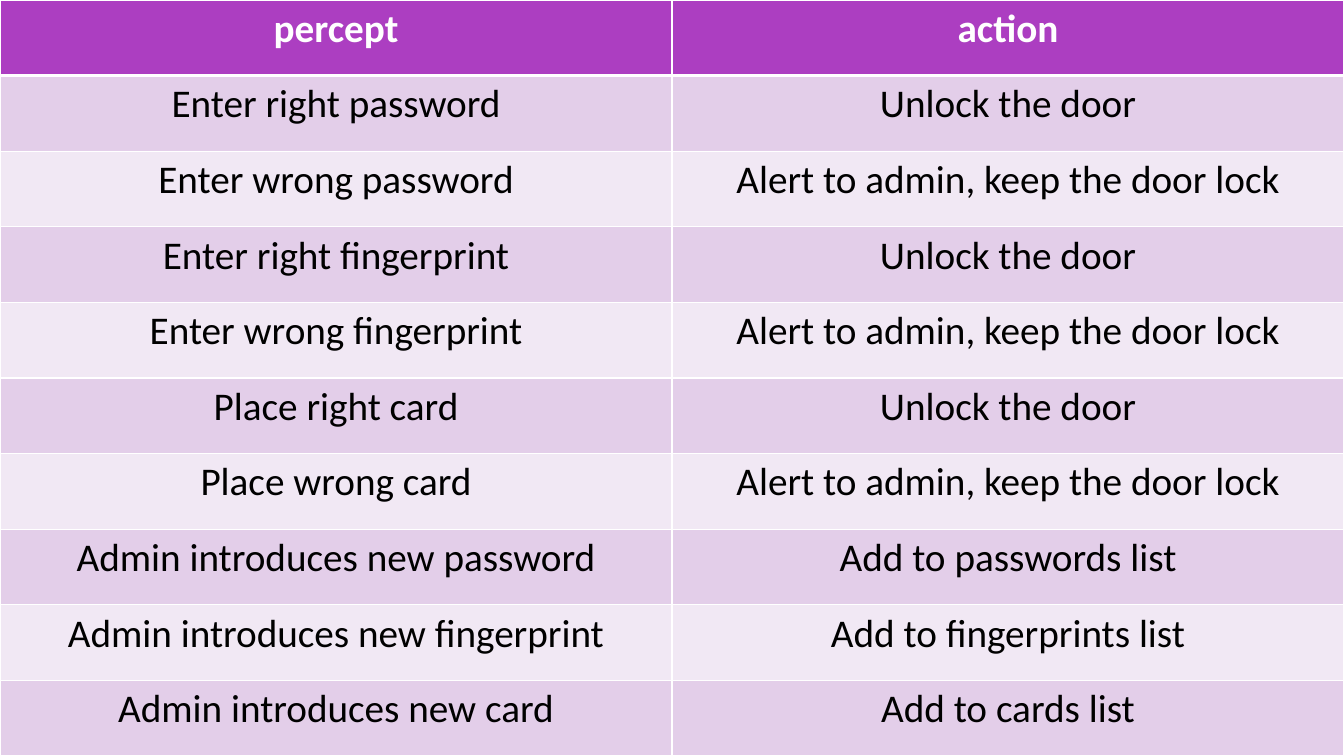
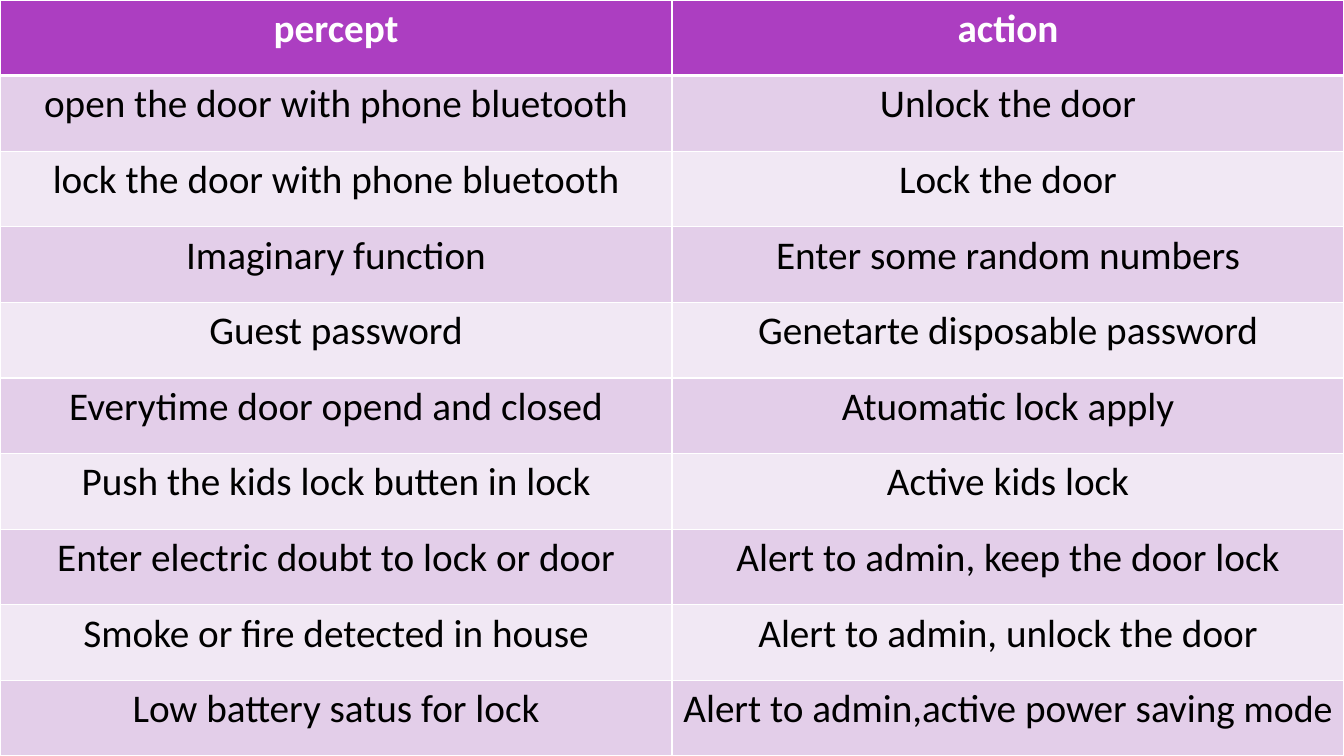
from lxml import etree
from pptx import Presentation
from pptx.dml.color import RGBColor
from pptx.enum.text import PP_ALIGN
from pptx.oxml.ns import qn
from pptx.util import Inches, Pt

# Shared look
BLACK = RGBColor(0x00, 0x00, 0x00)
WHITE = RGBColor(0xFF, 0xFF, 0xFF)
PURPLE = RGBColor(0xAC, 0x3E, 0xC1)
LILAC = RGBColor(0xE3, 0xCE, 0xE9)
PALE_LILAC = RGBColor(0xF1, 0xE8, 0xF4)
FONT = "Calibri"
TEXT_SIZE = 28
THIN, THICK = 1, 3
HEADER = ("percept", "action")

# Shared answers of the lock
UNLOCK = "Unlock the door"
ALERT = "Alert to admin, keep the door lock"

# One list of rows per slide; a tuple in a cell holds (text, size) runs
TABLES = [
    [
        ("Enter right password", UNLOCK),
        ("Enter wrong password", ALERT),
        ("Enter right fingerprint", UNLOCK),
        ("Enter wrong fingerprint", ALERT),
        ("Place right card", UNLOCK),
        ("Place wrong card", ALERT),
        ("Admin introduces new password", "Add to passwords list"),
        ("Admin introduces new fingerprint", "Add to fingerprints list"),
        ("Admin introduces new card", "Add to cards list"),
    ],
    [
        ("open the door with phone bluetooth", UNLOCK),
        ("lock the door with phone bluetooth", "Lock the door"),
        ("Imaginary function", "Enter some random numbers"),
        ("Guest password", "Genetarte disposable password"),
        ("Everytime door opend and closed", "Atuomatic lock apply"),
        ("Push the kids lock butten in lock", "Active kids lock"),
        ("Enter electric doubt to lock or door", ALERT),
        ("Smoke or fire detected in house", "Alert to admin, unlock the door"),
        ("Low battery satus for lock",
         (("Alert to admin,active power saving ", TEXT_SIZE), ("mode", 27))),
    ],
]


def set_borders(cell, top, bottom):
    """White borders; must run before the fill, as the schema orders them."""
    tc_pr = cell._tc.get_or_add_tcPr()
    for side, width in (("L", THIN), ("R", THIN), ("T", top), ("B", bottom)):
        ln = etree.SubElement(tc_pr, qn(f"a:ln{side}"), w=str(Pt(width)))
        fill = etree.SubElement(ln, qn("a:solidFill"))
        etree.SubElement(fill, qn("a:srgbClr"), val=str(WHITE))


prs = Presentation()
prs.slide_width, prs.slide_height = Inches(13.33), Inches(7.5)
W, H = prs.slide_width, prs.slide_height

for body in TABLES:
    s = prs.slides.add_slide(prs.slide_layouts[6])
    s.background.fill.solid()
    s.background.fill.fore_color.rgb = BLACK

    # Full-slide table with equal columns and rows
    rows = [HEADER, *body]
    table = s.shapes.add_table(len(rows), len(HEADER), 0, 0, W, H).table
    for col in table.columns:
        col.width = W // len(HEADER)
    for row in table.rows:
        row.height = H // len(rows)

    for i, texts in enumerate(rows):
        is_header = i == 0
        band = PURPLE if is_header else LILAC if i % 2 else PALE_LILAC
        for j, text in enumerate(texts):
            cell = table.cell(i, j)
            set_borders(cell, THICK if i == 1 else THIN, THICK if is_header else THIN)
            cell.fill.solid()
            cell.fill.fore_color.rgb = band

            # Cell text, run by run
            p = cell.text_frame.paragraphs[0]
            p.alignment = PP_ALIGN.CENTER
            runs = ((text, TEXT_SIZE),) if isinstance(text, str) else text
            for words, size in runs:
                r = p.add_run()
                r.text = words
                r.font.name = FONT
                r.font.size = Pt(size)
                r.font.bold = is_header
                r.font.color.rgb = WHITE if is_header else BLACK

prs.save("out.pptx")
